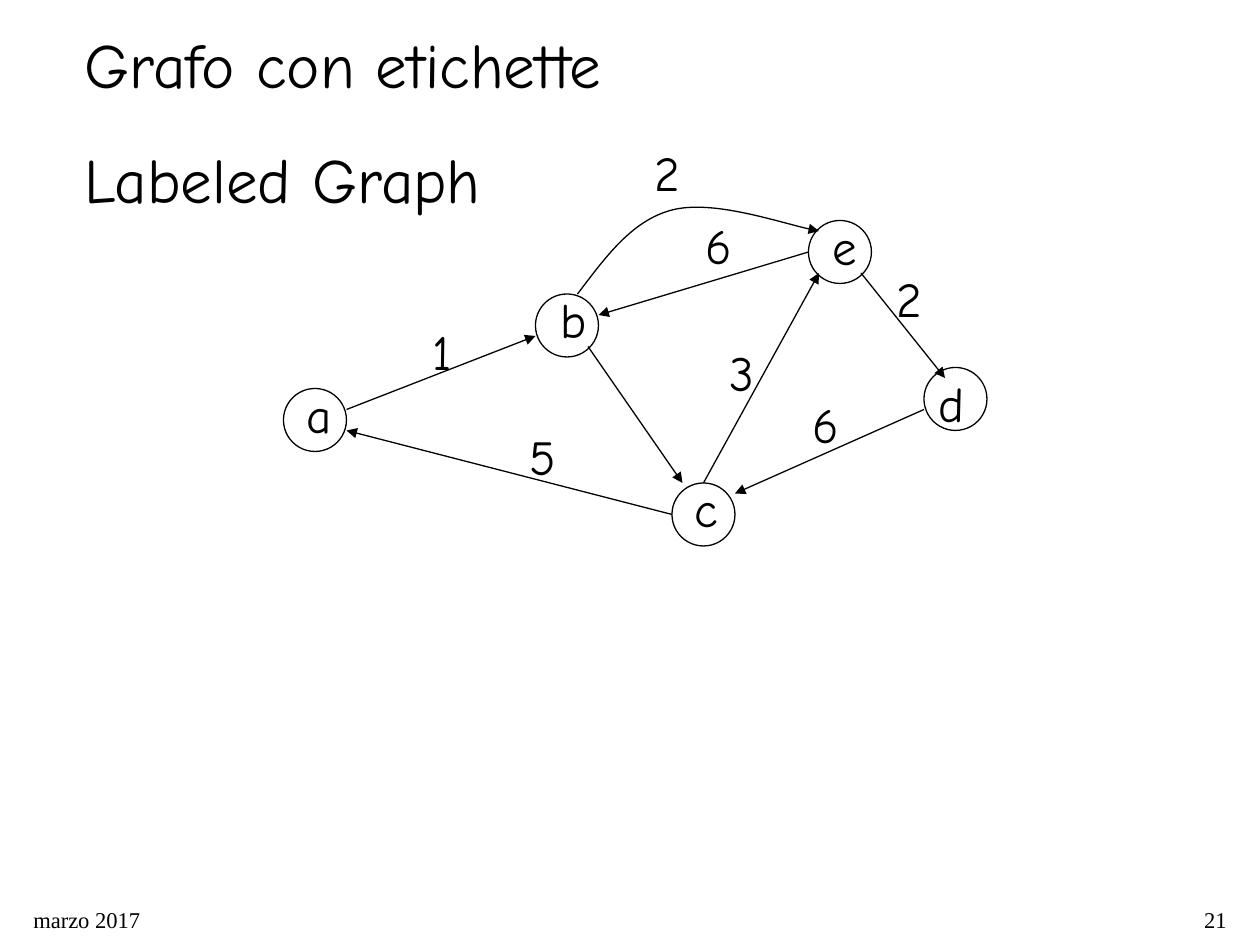
from lxml import etree
from pptx import Presentation
from pptx.dml.color import RGBColor
from pptx.enum import shapes, text
from pptx.oxml import ns
from pptx.util import Pt

BLACK = "000000"
HAND, SERIF = "Comic Neue", "Times New Roman"
LEFT, RIGHT = text.PP_ALIGN.LEFT, text.PP_ALIGN.RIGHT
NODE_SIZE = 36
LABEL_HEIGHT = 41

TITLE = ["Grafo con etichette", "Labeled Graph"]
FOOTERS = [("marzo 2017", 12, LEFT), ("21", 558, RIGHT)]
NODES = [(384, 276), (306, 168), (528, 210), (162, 222), (462, 126)]
EDGES = [
    ((198, 234), (306, 192)),
    ((336, 198), (390, 276)),
    ((402, 276), (468, 156)),
    ((528, 234), (420, 282)),
    ((384, 294), (198, 246)),
    ((492, 156), (540, 216)),
    ((462, 144), (342, 180)),
]
CURVE_START = (330, 168)
CURVE = [(345.6, 146.9), (360.7, 126), (384, 120),
         (406.8, 114), (450.7, 128.9), (468, 132)]
LABELS = [
    ("a", 168, 216, 28.8), ("b", 313.2, 162, 29.5), ("c", 390, 270, 27.4),
    ("d", 529.2, 210, 28.8), ("e", 468.7, 120, 28.1),
    ("1", 240, 180, 25.2), ("3", 409.7, 192, 28.1), ("5", 295.2, 240, 29.5),
    ("6", 457.2, 222, 29.5), ("2", 505.4, 150, 28.8),
    ("6", 396, 119.5, 29.5), ("2", 367.2, 78, 28.8),
]


def color(value):
    return RGBColor.from_string(value)


def add_text(page, lines, place, size, font, before=0, align=LEFT,
             spacing=1.0, wrap=False):
    box = page.shapes.add_textbox(*map(Pt, place))
    frame = box.text_frame
    frame.text = "\n".join(lines)
    frame.word_wrap = wrap
    if not wrap:
        frame.auto_size = text.MSO_AUTO_SIZE.SHAPE_TO_FIT_TEXT
    for para in frame.paragraphs:
        para.alignment = align
        para.space_before = Pt(before)
        para.line_spacing = spacing
        for span in para.runs:
            span.font.size = Pt(size)
            span.font.name = font
            span.font.color.rgb = color(BLACK)


def draw_line(shape, arrow=False):
    shape.line.color.rgb = color(BLACK)
    shape.line.width = Pt(0.75)
    if arrow:
        outline = shape.line._get_or_add_ln()
        etree.SubElement(outline, ns.qn("a:tailEnd"), type="triangle")


def add_node(page, left, top):
    node = page.shapes.add_shape(shapes.MSO_SHAPE.OVAL, Pt(left), Pt(top),
                                 Pt(NODE_SIZE), Pt(NODE_SIZE))
    node.shadow.inherit = False
    node.fill.background()
    draw_line(node)


def add_edge(page, start, end):
    edge = page.shapes.add_connector(shapes.MSO_CONNECTOR.STRAIGHT,
                                     *map(Pt, start + end))
    draw_line(edge, arrow=True)
    etree.SubElement(edge._element.spPr, ns.qn("a:effectLst"))


def add_curve(page, start, points):
    builder = page.shapes.build_freeform(*start, scale=Pt(1))
    builder.add_line_segments(points, close=False)
    curve = builder.convert_to_shape()
    curve.shadow.inherit = False
    curve.fill.background()
    draw_line(curve, arrow=True)
    outline = next(curve._element.iter(ns.qn("a:path")))
    segments = outline.findall(ns.qn("a:lnTo"))
    for first in range(0, len(segments), 3):
        bezier = etree.SubElement(outline, ns.qn("a:cubicBezTo"))
        for segment in segments[first:first + 3]:
            bezier.append(segment[0])
            outline.remove(segment)


def main():
    deck = Presentation()
    deck.slide_width, deck.slide_height = Pt(720), Pt(540)
    page = deck.slides.add_slide(deck.slide_layouts[6])
    for words, left, align in FOOTERS:
        add_text(page, [words], (left, 516, 150, 24), 12.9, SERIF,
                 align=align, spacing=0.9, wrap=True)
    add_text(page, TITLE, (41, 10.8, 312.5, 116.6), 36, HAND, before=22.5)
    for node in NODES:
        add_node(page, *node)
    for start, end in EDGES:
        add_edge(page, start, end)
    add_curve(page, CURVE_START, CURVE)
    for words, left, top, width in LABELS:
        add_text(page, [words], (left, top, width, LABEL_HEIGHT), 28, HAND,
                 before=17.5)
    deck.save("out.pptx")


if __name__ == "__main__":
    main()
